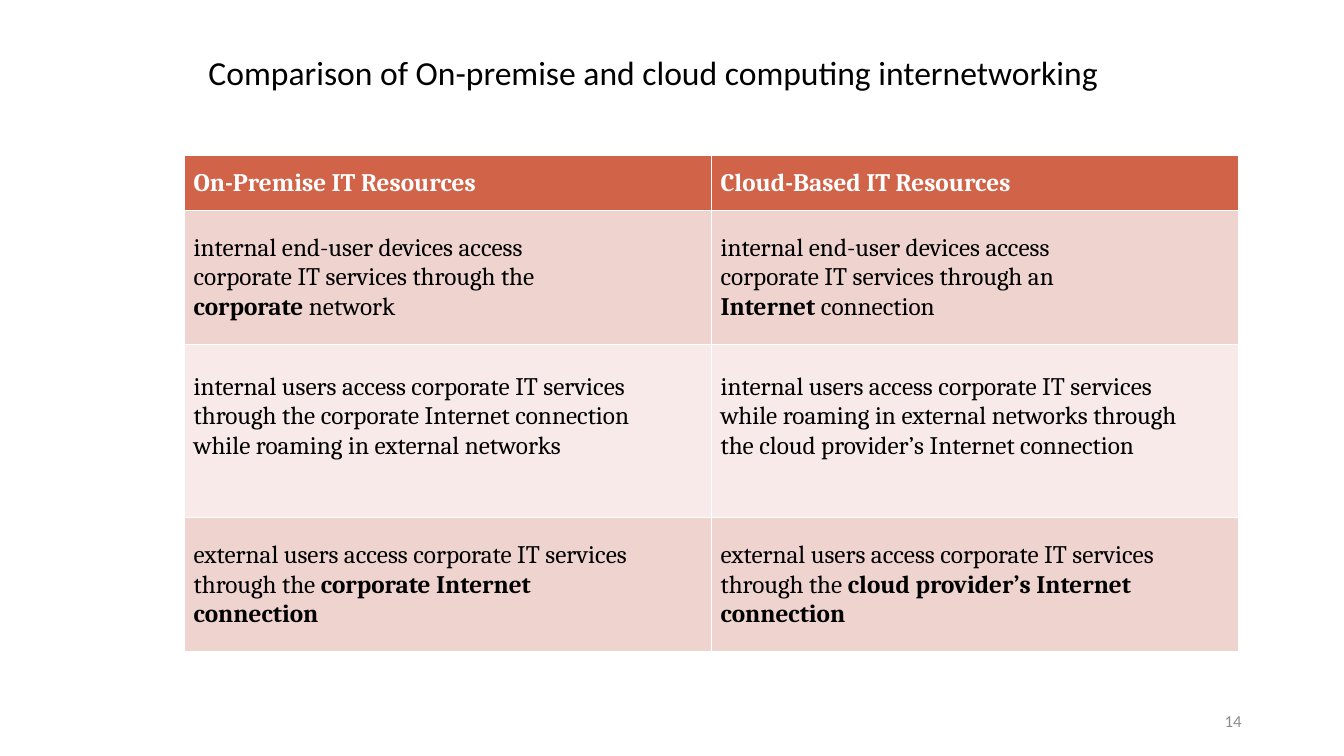
from pptx import Presentation
from pptx.dml.color import RGBColor
from pptx.enum.text import MSO_ANCHOR, PP_ALIGN
from pptx.oxml.ns import qn
from pptx.util import Cm, Pt
from lxml import etree

TOP, MIDDLE = MSO_ANCHOR.TOP, MSO_ANCHOR.MIDDLE
LEFT, RIGHT = PP_ALIGN.LEFT, PP_ALIGN.RIGHT

TITLE = "Comparison of On-premise and cloud computing internetworking"
PAGE = "14"

# Each cell is a list of (text, bold) runs
ROWS = [
    ([("On-Premise IT Resources", True)],
     [("Cloud-Based IT Resources", True)]),
    ([("internal end-user devices access corporate IT services through the ", False),
      ("corporate ", True), ("network", False)],
     [("internal end-user devices access corporate IT services through an ", False),
      ("Internet ", True), ("connection", False)]),
    ([("internal users access corporate IT services through the corporate "
       "Internet connection while roaming in external networks", False)],
     [("internal users access corporate IT services while roaming in external "
       "networks through the cloud provider’s Internet connection", False)]),
    ([("external users access corporate IT services through the ", False),
      ("corporate Internet connection", True)],
     [("external users access corporate IT services through the ", False),
      ("cloud provider’s Internet connection", True)]),
]
# Height (cm), top inset (pt), line spacing (pt), right inset (cm), fill, text colour
ROW_STYLES = [
    (1.37, 9.5, 20.4, 0, "D16349", "FFFFFF"),
    (3.38, 16.3, 21.2, 3.3, "EED3CF", "000000"),
    (4.37, 19.8, 21.3, 0.9, "F7EAE9", "000000"),
    (3.38, 16.3, 21.2, 1.65, "EED3CF", "000000"),
]
COL_WIDTH = Cm(13.28)


def rgb(value):
    return RGBColor.from_string(value)


def style_run(r, font, size, color, bold=False):
    r.font.name, r.font.size, r.font.bold = font, Pt(size), bold
    r.font.color.rgb = rgb(color)


def fill_label(shape, text, size, color, align, anchor):
    tf = shape.text_frame
    tf.text = text
    tf.word_wrap = True
    tf.vertical_anchor = anchor
    p = tf.paragraphs[0]
    p.alignment = align
    style_run(p.runs[0], "Calibri", size, color)


def add_borders(cell, color, width):
    tc_pr = cell._tc.get_or_add_tcPr()
    for i, side in enumerate(("a:lnL", "a:lnR", "a:lnT", "a:lnB")):
        ln = etree.Element(qn(side), w=str(Pt(width)))
        solid = etree.SubElement(ln, qn("a:solidFill"))
        etree.SubElement(solid, qn("a:srgbClr"), val=color)
        tc_pr.insert(i, ln)


prs = Presentation()
prs.slide_width, prs.slide_height = Cm(33.87), Cm(19.05)
s = prs.slides.add_slide(prs.slide_layouts[5])

# Title
title = s.shapes.title
title.left, title.top, title.width, title.height = Cm(5), Cm(1.17), Cm(25.43), Cm(1.27)
fill_label(title, TITLE, 24, "000000", LEFT, TOP)

# Comparison table
table_height = Cm(sum(style[0] for style in ROW_STYLES))
table = s.shapes.add_table(len(ROWS), 2, Cm(4.64), Cm(3.92),
                           2 * COL_WIDTH, table_height).table
for col in table.columns:
    col.width = COL_WIDTH
for row, texts, style in zip(table.rows, ROWS, ROW_STYLES):
    height, inset_top, spacing, inset_right, fill, color = style
    row.height = Cm(height)
    for cell, runs in zip(row.cells, texts):
        cell.fill.solid()
        cell.fill.fore_color.rgb = rgb(fill)
        add_borders(cell, "FFFFFF", 0.25)
        cell.margin_left, cell.margin_right = Cm(0.24), Cm(inset_right)
        cell.margin_top, cell.margin_bottom = Pt(inset_top), 0
        p = cell.text_frame.paragraphs[0]
        p.line_spacing = Pt(spacing)
        for text, bold in runs:
            r = p.add_run()
            r.text = text
            style_run(r, "Cambria", 18, color, bold)

# Page number
page = s.shapes.add_textbox(Cm(23.92), Cm(17.65), Cm(7.62), Cm(1.02))
fill_label(page, PAGE, 12, "8C8C8C", RIGHT, MIDDLE)

prs.save("out.pptx")
